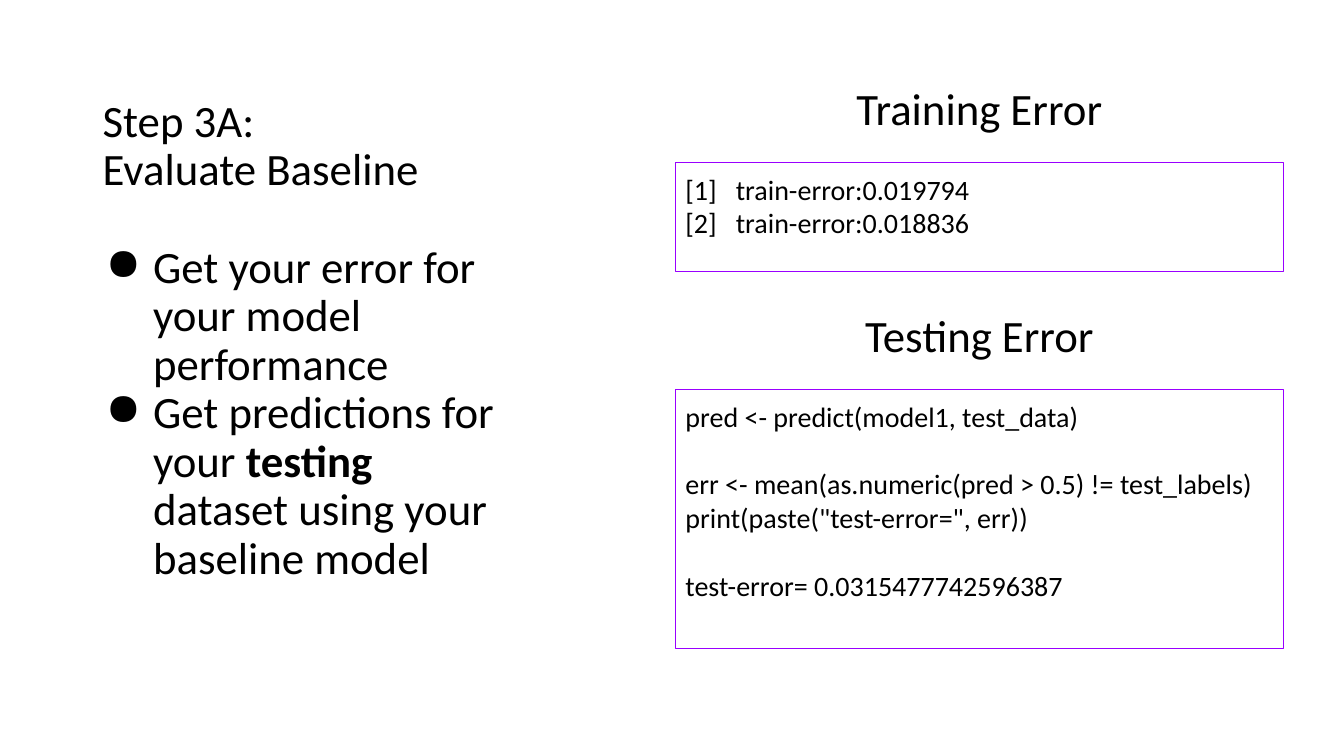
from lxml.etree import SubElement
from pptx import Presentation
from pptx.dml.color import RGBColor
from pptx.enum.shapes import MSO_SHAPE
from pptx.enum.text import MSO_ANCHOR, PP_ALIGN
from pptx.oxml.ns import qn
from pptx.util import Inches, Pt


def rgb(value):
    return RGBColor.from_string(value)


class Deck:
    font = "Calibri"
    ink = "000000"
    border = "9900FF"
    heading_size = 32
    code_size = 20

    def __init__(self, prs):
        self.s = prs.slides.add_slide(prs.slide_layouts[6])

    def fill_frame(self, sp, text, size, align=PP_ALIGN.LEFT,
                   anchor=MSO_ANCHOR.TOP, inset=0.1, spacing=None):
        tf = sp.text_frame
        tf.word_wrap = True
        tf.vertical_anchor = anchor
        tf.margin_left = tf.margin_right = Inches(0.1)
        tf.margin_top = tf.margin_bottom = Inches(inset)
        tf.text = text
        for p in tf.paragraphs:
            p.alignment = align
            p.line_spacing = spacing
            self.style_runs(p, size)
        return tf.paragraphs

    def style_runs(self, p, size):
        for r in p.runs:
            r.font.name = self.font
            r.font.size = Pt(size)
            r.font.color.rgb = rgb(self.ink)

    def text(self, box, text, **style):
        sp = self.s.shapes.add_textbox(*map(Inches, box))
        return self.fill_frame(sp, text, self.heading_size, **style)

    def bullets(self, box, items):
        paragraphs = self.text(box, "\n".join(items), inset=0.05, spacing=0.9)
        paragraphs[0].space_before = Pt(10)
        for p in paragraphs:
            pPr = p._p.get_or_add_pPr()
            pPr.set("marL", str(Inches(0.5)))
            pPr.set("indent", str(Inches(-0.47)))
            color = SubElement(pPr, qn("a:buClr"))
            SubElement(color, qn("a:srgbClr")).set("val", self.ink)
            SubElement(pPr, qn("a:buChar")).set("char", "●")
            self.embolden(p)

    def embolden(self, p):
        parts = p.text.split("*")
        p.text = parts[0]
        for i, part in enumerate(parts[1:], 1):
            r = p.add_run()
            r.text = part
            r.font.bold = i % 2 == 1
        self.style_runs(p, self.heading_size)

    def code(self, box, blocks):
        sp = self.s.shapes.add_shape(MSO_SHAPE.RECTANGLE, *map(Inches, box))
        sp.shadow.inherit = False
        sp.fill.background()
        sp.line.color.rgb = rgb(self.border)
        sp.line.width = Pt(0.75)
        lines = [line for block in blocks for line in block]
        paragraphs = self.fill_frame(sp, "\n".join(lines), self.code_size)
        start = 0
        for block in blocks[:-1]:
            start += len(block)
            paragraphs[start].space_before = Pt(24.4)


def main():
    prs = Presentation()
    prs.slide_width, prs.slide_height = Inches(13.33), Inches(7.5)
    deck = Deck(prs)

    deck.text((0.92, 0.24, 4.3, 1.75), "Step 3A:\nEvaluate Baseline",
              anchor=MSO_ANCHOR.BOTTOM, inset=0.05, spacing=0.9)
    deck.bullets((0.92, 2.38, 4.3, 4.17), [
        "Get your error for your model performance",
        "Get predictions for your *testing* dataset using your baseline model",
    ])

    training = [["[1]\ttrain-error:0.019794", "[2]\ttrain-error:0.018836"]]
    testing = [
        ["pred <- predict(model1, test_data)"],
        ["err <- mean(as.numeric(pred > 0.5) != test_labels)",
         'print(paste("test-error=", err))'],
        ["test-error= 0.0315477742596387"],
    ]
    left, width = 6.7, 6.03
    for heading, top, height, blocks in (
        ("Training Error", 0.77, 1.08, training),
        ("Testing Error", 3.02, 2.57, testing),
    ):
        deck.text((left, top, width, 0.59), heading,
                  align=PP_ALIGN.CENTER, anchor=MSO_ANCHOR.MIDDLE)
        deck.code((left, top + 0.84, width, height), blocks)

    prs.save("out.pptx")


if __name__ == "__main__":
    main()
